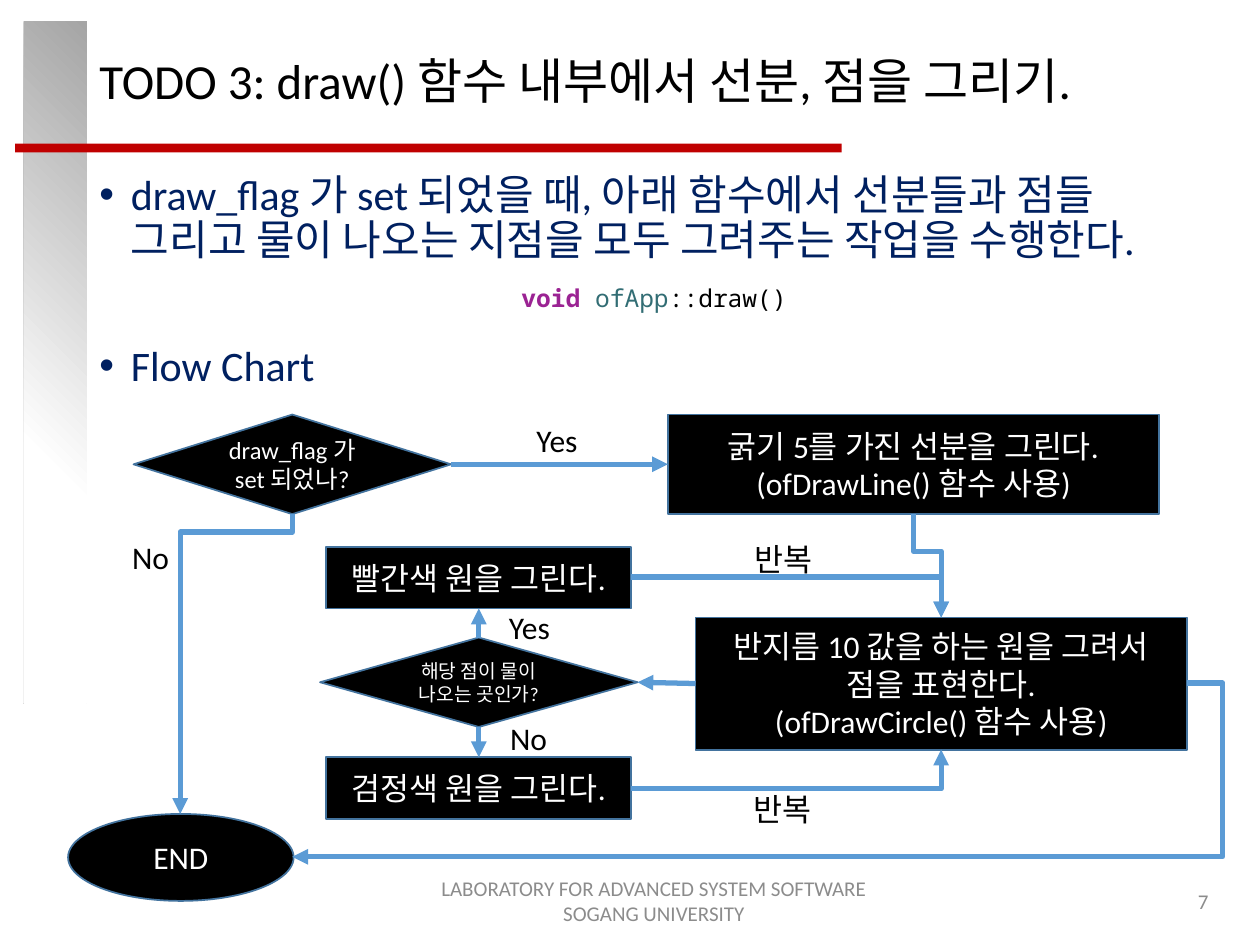
"""Build the slide on the draw() step with its flow chart."""
from lxml import etree
from pptx import Presentation
from pptx import util as u
from pptx.dml.color import RGBColor
from pptx.enum import shapes, text
from pptx.oxml import parse_xml
from pptx.oxml.ns import nsdecls, qn

BLACK = RGBColor(0, 0, 0)
WHITE = RGBColor(255, 255, 255)
RED = RGBColor(0xC0, 0, 0)
NAVY = RGBColor(0, 0x20, 0x60)
GREY = RGBColor(0x8C, 0x8C, 0x8C)
EDGE = RGBColor(0x43, 0x73, 0x9E)
BLUE = RGBColor(0x5B, 0x9B, 0xD5)
PLUM = RGBColor(0x9B, 0x23, 0x93)
TEAL = RGBColor(0x32, 0x6D, 0x74)
LEFT, MID, RIGHT = text.PP_ALIGN.LEFT, text.PP_ALIGN.CENTER, text.PP_ALIGN.RIGHT
RECT, GEM, OVAL = (shapes.MSO_SHAPE.RECTANGLE, shapes.MSO_SHAPE.DIAMOND,
                   shapes.MSO_SHAPE.OVAL)
TOP, WEST, BASE, EAST = range(4)
FADE = f"""<a:gradFill {nsdecls('a')} rotWithShape="1"><a:gsLst>
<a:gs pos="0"><a:srgbClr val="FFFFFF"/></a:gs>
<a:gs pos="35000"><a:srgbClr val="FFFFFF"/></a:gs>
<a:gs pos="100000"><a:srgbClr val="A5A5A5"/></a:gs></a:gsLst>
<a:path path="circle"><a:fillToRect t="100000" r="100000"/></a:path></a:gradFill>"""


class Pen:
    """Hold the style and the slide being drawn."""

    face = "Calibri"
    mono = "Noto Sans Mono"

    def __init__(self, slide):
        self.items = slide.shapes

    def letter(self, frame, lines, size, color, align=LEFT):
        for i, line in enumerate(lines):
            para = frame.paragraphs[0] if i == 0 else frame.add_paragraph()
            para.text = line
            para.alignment = align
            para.font.name = self.face
            para.font.size = u.Pt(size)
            para.font.color.rgb = color

    def bar(self, *at, color=RED):
        bar = self.items.add_shape(RECT, *map(u.Inches, at))
        bar.shadow.inherit = False
        bar.fill.solid()
        bar.fill.fore_color.rgb = color
        bar.line.fill.background()
        return bar

    def fade(self, *at):
        props = self.bar(*at)._element.spPr
        props.replace(props.find(qn("a:solidFill")), parse_xml(FADE))

    def node(self, kind, at, *lines, size=18):
        node = self.items.add_shape(kind, *map(u.Inches, at))
        node.shadow.inherit = False
        node.fill.solid()
        node.fill.fore_color.rgb = BLACK
        node.line.color.rgb = EDGE
        node.line.width = u.Pt(1)
        node.text_frame.vertical_anchor = text.MSO_ANCHOR.MIDDLE
        self.letter(node.text_frame, lines, size, WHITE, MID)
        return node

    def block(self, at, *lines, size=12, color=GREY, align=LEFT,
              anchor=text.MSO_ANCHOR.MIDDLE):
        frame = self.items.add_textbox(*map(u.Inches, at)).text_frame
        frame.word_wrap = True
        frame.vertical_anchor = anchor
        self.letter(frame, lines, size, color, align)
        return frame

    def points(self, at, *lines, gap):
        frame = self.block(at, *lines, size=24, color=NAVY,
                           anchor=text.MSO_ANCHOR.TOP)
        for i, para in enumerate(frame.paragraphs):
            props = para._p.get_or_add_pPr()
            props.set("marL", str(u.Inches(0.25)))
            props.set("indent", str(u.Inches(-0.25)))
            para.line_spacing = 0.9
            if i:
                para.space_before = u.Pt(gap)
            mark = parse_xml(f'<a:buChar {nsdecls("a")} char="•"/>')
            font = parse_xml(f'<a:buFont {nsdecls("a")} typeface="Arial"/>')
            rest = props.find(qn("a:defRPr"))
            rest.addprevious(font)
            rest.addprevious(mark)

    def label(self, at, *words):
        frame = self.items.add_textbox(*map(u.Inches, at)).text_frame
        frame.word_wrap = False
        frame.auto_size = text.MSO_AUTO_SIZE.SHAPE_TO_FIT_TEXT
        self.letter(frame, words, 18, BLACK)
        return frame

    def source(self, at, *parts):
        para = self.label(at, "").paragraphs[0]
        para.font.name = self.mono
        para.font.size = u.Pt(14)
        for word, color, bold in parts:
            run = para.add_run()
            run.text = word
            run.font.color.rgb = color
            run.font.bold = bold

    def arrow(self, kind, *ends):
        line = self.items.add_connector(kind, *map(u.Inches, ends))
        line.line.color.rgb = BLUE
        line.line.width = u.Pt(3)
        etree.SubElement(line.line._get_or_add_ln(), qn("a:tailEnd"),
                         type="triangle")
        etree.SubElement(line._element.spPr, qn("a:effectLst"))
        return line

    def link(self, start, side, end, goal):
        line = self.arrow(shapes.MSO_CONNECTOR.STRAIGHT, 0, 0, 0, 0)
        line.begin_connect(start, side)
        line.end_connect(end, goal)

    def bend(self, x1, y1, x2, y2, turn=None, down=False):
        if down:
            cx, cy = (x1 + x2) / 2, (y1 + y2) / 2
            dx, dy = (x2 - x1) / 2, (y2 - y1) / 2
            x1, y1, x2, y2 = cx - dy, cy + dx, cx + dy, cy - dx
        line = self.arrow(shapes.MSO_CONNECTOR.ELBOW, x1, y1, x2, y2)
        props = line._element.spPr
        if down:
            props.find(qn("a:xfrm")).set("rot", str(90 * 60000))
        geom = props.find(qn("a:prstGeom"))
        if turn is None:
            geom.set("prst", "bentConnector2")
        else:
            etree.SubElement(geom.find(qn("a:avLst")), qn("a:gd"),
                             name="adj1", fmla=f"val {round(turn * 100000)}")


def main():
    deck = Presentation()
    deck.slide_width, deck.slide_height = u.Inches(10), u.Inches(7.5)
    pen = Pen(deck.slides.add_slide(deck.slide_layouts[6]))

    pen.fade(0.19, 0.17, 0.5, 5.41)
    pen.bar(0.12, 1.14, 6.56, 0.07)
    title = pen.block((0.69, 0.24, 9.03, 0.84),
                      "TODO 3: draw() 함수 내부에서 선분, 점을 그리기.",
                      size=28, color=BLACK)
    title.paragraphs[0].line_spacing = 0.9
    pen.points((0.69, 1.33, 9.03, 5.58),
               "draw_flag 가 set 되었을 때, 아래 함수에서 선분들과 점들 "
               "그리고 물이 나오는 지점을 모두 그려주는 작업을 수행한다.",
               "Flow Chart", gap=46)
    pen.block((2.94, 6.94, 4.5, 0.41),
              "LABORATORY FOR ADVANCED SYSTEM SOFTWARE",
              "SOGANG UNIVERSITY", align=MID)
    pen.block((7.44, 6.95, 2.25, 0.4), "7", align=RIGHT)
    pen.source((4.04, 2.2, 2.32, 0.34), ("void ", PLUM, True),
               ("ofApp", TEAL, False), ("::draw()", BLACK, False))

    flag = pen.node(GEM, (1.06, 3.29, 2.52, 0.79),
                    "draw_flag 가 set 되었나?", size=14)
    lines = pen.node(RECT, (5.3, 3.29, 3.9, 0.79),
                     "굵기 5를 가진 선분을 그린다.", "(ofDrawLine() 함수 사용)")
    dots = pen.node(RECT, (5.52, 4.9, 3.9, 1.05),
                    "반지름 10 값을 하는 원을 그려서 점을 표현한다.",
                    "(ofDrawCircle() 함수 사용)")
    water = pen.node(GEM, (2.54, 5.06, 2.52, 0.71),
                     "해당 점이 물이 나오는 곳인가?", size=11)
    red = pen.node(RECT, (2.59, 4.34, 2.42, 0.49), "빨간색 원을 그린다.")
    black = pen.node(RECT, (2.59, 6.01, 2.42, 0.49), "검정색 원을 그린다.")
    pen.node(OVAL, (0.54, 6.46, 1.79, 0.69), "END")

    pen.link(flag, EAST, lines, WEST)
    pen.link(dots, WEST, water, EAST)
    pen.link(water, TOP, red, BASE)
    pen.link(water, BASE, black, TOP)
    pen.bend(2.32, 4.08, 1.43, 6.46, turn=0.06, down=True)
    pen.bend(7.25, 4.08, 7.47, 4.9, turn=0.36, down=True)
    pen.bend(5.01, 4.58, 7.47, 4.9)
    pen.bend(5.01, 6.26, 7.47, 5.95)
    pen.bend(9.42, 5.42, 2.32, 6.8, turn=-0.04)

    for word, wide, spots in (("Yes", 0.53, ((4.16, 3.29), (3.94, 4.78))),
                              ("No", 0.5, ((0.95, 4.22), (3.95, 5.66))),
                              ("반복", 0.71, ((5.89, 4.24), (5.88, 6.22)))):
        for x, y in spots:
            pen.label((x, y, wide, 0.4), word)

    deck.save("out.pptx")


if __name__ == "__main__":
    main()
